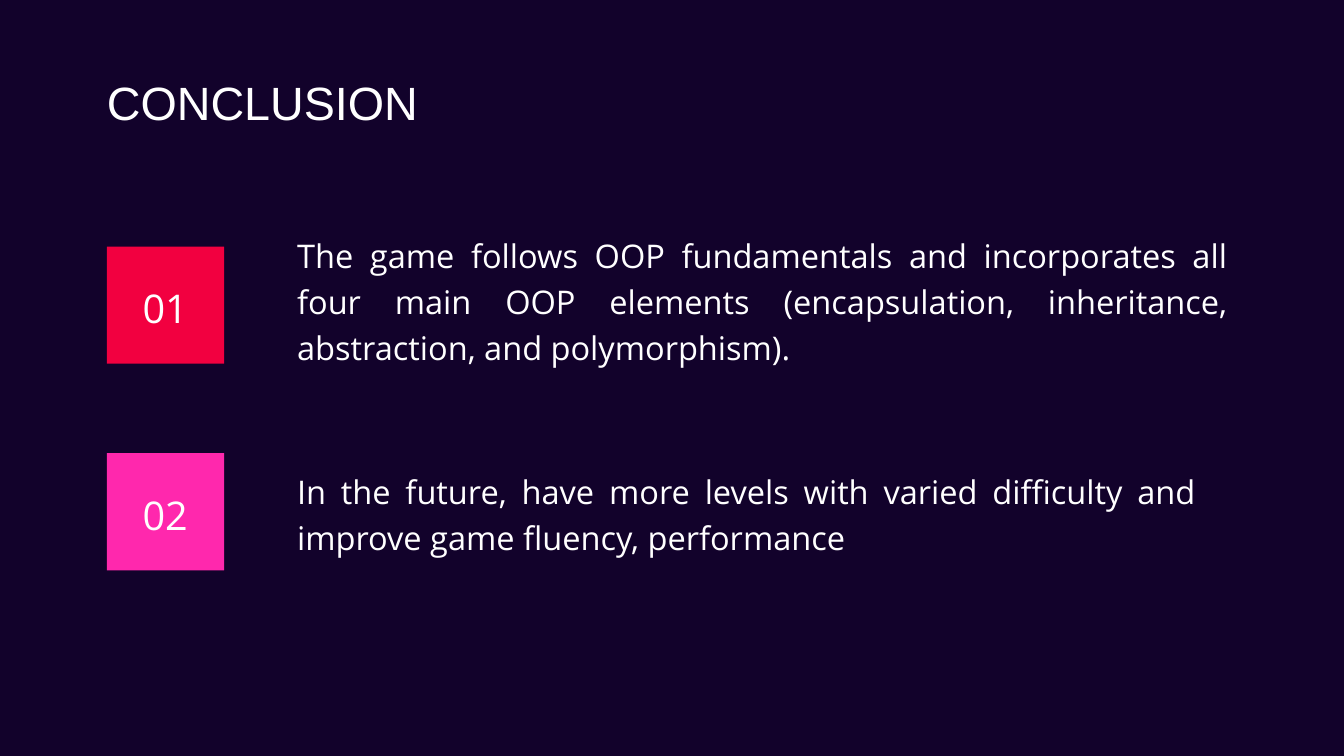
from collections import namedtuple
from dataclasses import dataclass

from pptx import Presentation
from pptx.dml.color import RGBColor
from pptx.enum.shapes import MSO_SHAPE
from pptx.enum.text import PP_ALIGN as Align
from pptx.util import Cm, Pt

Box = namedtuple("Box", "left top width height")
Style = namedtuple("Style", "font size spacing align")
Point = namedtuple("Point", "number color text text_shift text_width text_height")


@dataclass(frozen=True)
class Theme:
    background: str = "12022B"
    white: str = "FFFFFF"
    red: str = "F20040"
    pink: str = "FF28AD"
    title: Style = Style("Arial", 50, 70, Align.LEFT)
    number: Style = Style("Open Sans", 42.4, 59.3, Align.CENTER)
    body: Style = Style("Open Sans", 34.9, 48.9, Align.JUSTIFY)


THEME = Theme()
TILE = 4.43
ROW_PITCH = 7.81
POINTS = [
    Point("01", THEME.red,
          "The game follows OOP fundamentals and incorporates all four main "
          "OOP elements (encapsulation, inheritance, abstraction, and polymorphism).",
          -0.63, 35.2, 5.08),
    Point("02", THEME.pink,
          "In the future, have more levels with varied difficulty and "
          "improve game fluency, performance",
          0.46, 34.01, 3.35),
]


def add_text(page, box, text, style):
    frame = page.shapes.add_textbox(*map(Cm, box)).text_frame
    frame.word_wrap = True
    frame.margin_left = frame.margin_right = 0
    frame.margin_top = frame.margin_bottom = 0
    para = frame.paragraphs[0]
    para.alignment = style.align
    para.line_spacing = Pt(style.spacing)
    span = para.add_run()
    span.text = text
    span.font.name = style.font
    span.font.size = Pt(style.size)
    span.font.color.rgb = RGBColor.from_string(THEME.white)


def add_tile(page, box, color):
    tile = page.shapes.add_shape(MSO_SHAPE.RECTANGLE, *map(Cm, box))
    tile.shadow.inherit = False
    tile.fill.solid()
    tile.fill.fore_color.rgb = RGBColor.from_string(color)
    tile.line.fill.background()


def add_point(page, box, point):
    add_tile(page, Box(box.left, box.top, TILE, TILE), point.color)
    add_text(page, Box(box.left + 0.58, box.top + 1.13, 3.25, 1.96),
             point.number, THEME.number)
    add_text(page, Box(box.left + 7.19, box.top + point.text_shift,
                       point.text_width, point.text_height),
             point.text, THEME.body)


def add_points(page, box):
    for row, point in enumerate(POINTS):
        add_point(page, Box(box.left, box.top + row * ROW_PITCH, box.width, TILE), point)


def build_conclusion(deck):
    page = deck.slides.add_slide(deck.slide_layouts[6])
    page.background.fill.solid()
    page.background.fill.fore_color.rgb = RGBColor.from_string(THEME.background)
    add_text(page, Box(4.04, 2.44, 16.81, 2.54), "CONCLUSION", THEME.title)
    add_points(page, Box(4.04, 9.32, 42.39, ROW_PITCH + TILE))


def main():
    deck = Presentation()
    deck.slide_width, deck.slide_height = Cm(50.8), Cm(28.58)
    build_conclusion(deck)
    deck.save("out.pptx")


if __name__ == "__main__":
    main()
